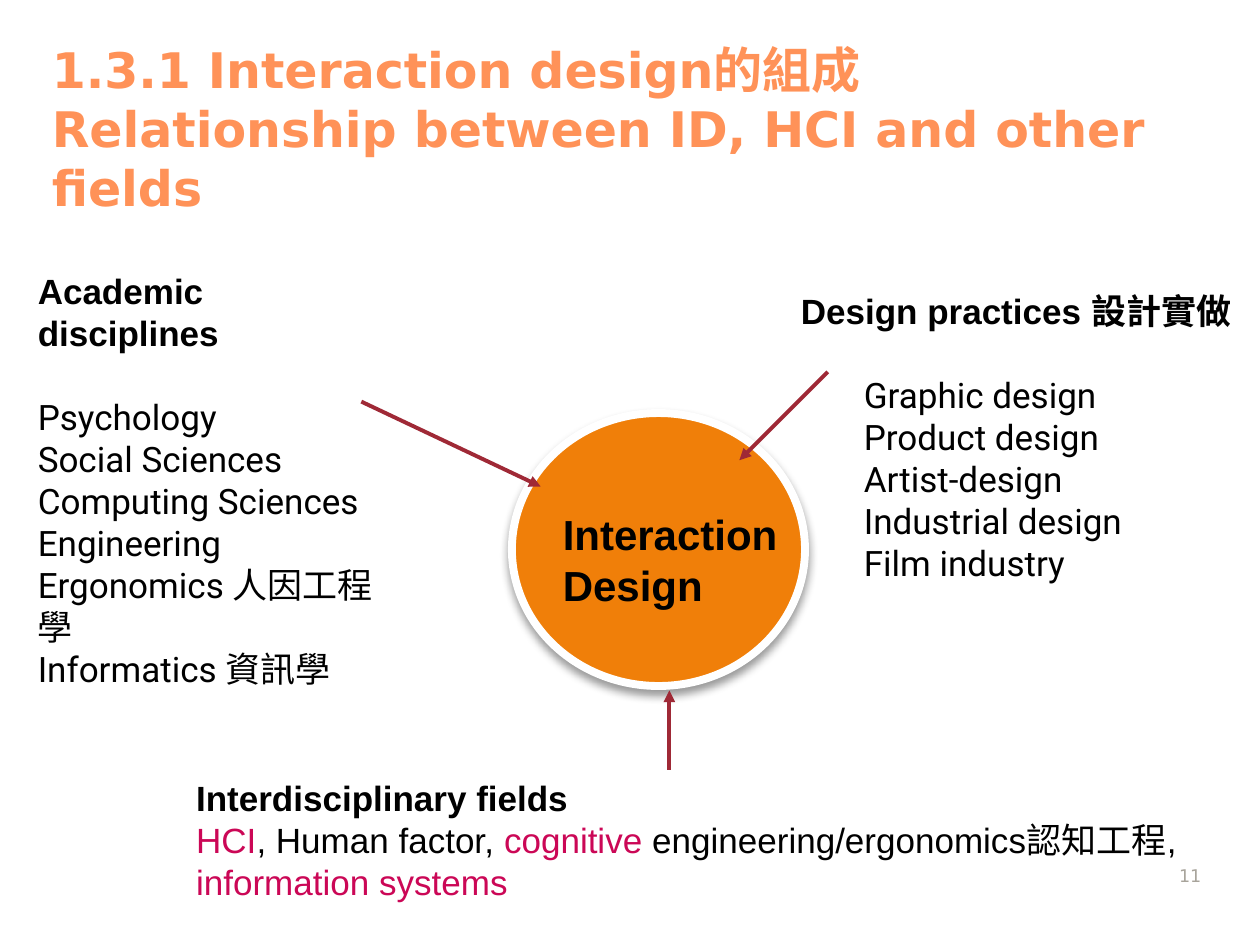
from lxml import etree
from pptx import Presentation
from pptx.dml.color import RGBColor
from pptx.enum import shapes, text
from pptx.oxml import ns
from pptx.util import Pt

COLORS = {
    "title": "FF9258",
    "text": "000000",
    "highlight": "CB0756",
    "circle": "F07F09",
    "rim": "FFFFFF",
    "arrow": "9F2936",
    "number": "A8A49B",
}
EAST_ASIAN_FONT = "Noto Sans CJK TC"
BODY_SIZE = 20
BODY_PITCH = 24

ACADEMIC = ["Psychology", "Social Sciences", "Computing Sciences", "Engineering",
            "Ergonomics 人因工程學", "Informatics 資訊學"]
PRACTICES = ["Graphic design", "Product design", "Artist-design",
             "Industrial design", "Film industry"]
FIELDS = [("HCI", "highlight"), (", Human factor, ", "text"), ("cognitive ", "highlight"),
          ("engineering/ergonomics認知工程, ", "text"), ("information systems", "highlight")]
ARROWS = [((206.5, 229.5), (309, 278)), ((382.5, 440), (382.5, 394.5)),
          ((473, 212.5), (422.5, 263))]


def color(name):
    return RGBColor.from_string(COLORS[name])


def format_run(run, size, font="Arial", bold=False, color_name="text"):
    run.font.size = Pt(size)
    run.font.bold = bold
    run.font.name = font
    run.font.color.rgb = color(color_name)
    east_asian = etree.SubElement(run.font._element, ns.qn("a:ea"))
    east_asian.set("typeface", EAST_ASIAN_FONT)


def add_text(container, box, content, size, pitch, wrap=True, anchor="TOP", **style):
    """Add a text box whose paragraphs share one style; return its paragraphs."""
    shape = container.add_textbox(*map(Pt, box))
    text_frame = shape.text_frame
    text_frame.text = content
    text_frame.word_wrap = wrap
    text_frame.vertical_anchor = text.MSO_ANCHOR[anchor]
    for paragraph in text_frame.paragraphs:
        paragraph.line_spacing = Pt(pitch)
        for run in paragraph.runs:
            format_run(run, size, **style)
    return text_frame.paragraphs


def add_list(container, box, heading, items, indent=0):
    """Add a bold heading with a list of plain items one line below it."""
    paragraphs = add_text(container, box, "\n".join(heading + items),
                          BODY_SIZE, BODY_PITCH, bold=True)
    entries = paragraphs[len(heading):]
    entries[0].space_before = Pt(BODY_PITCH)
    for paragraph in entries:
        paragraph._p.get_or_add_pPr().set("marL", str(Pt(indent)))
        paragraph.runs[0].font.bold = False
        paragraph.runs[0].font.name = "Roboto"


def add_shadow(shape):
    effects = etree.SubElement(shape._element.spPr, ns.qn("a:effectLst"))
    shadow = etree.SubElement(effects, ns.qn("a:outerShdw"), blurRad=str(Pt(5.2)),
                              dist=str(Pt(3)), dir="5400000", rotWithShape="0")
    shade = etree.SubElement(shadow, ns.qn("a:srgbClr"), val=COLORS["text"])
    etree.SubElement(shade, ns.qn("a:alpha"), val="40000")


def add_circle(slide):
    group = slide.shapes.add_group_shape()
    circle = group.shapes.add_shape(shapes.MSO_SHAPE.OVAL,
                                    Pt(292.5), Pt(236), Pt(167.5), Pt(156))
    circle.fill.solid()
    circle.fill.fore_color.rgb = color("circle")
    circle.line.color.rgb = color("rim")
    circle.line.width = Pt(4.5)
    add_shadow(circle)
    add_text(group.shapes, (314.5, 287.5, 137, 65), "Interaction\nDesign",
             24, 28.6, wrap=False, bold=True)


def add_arrow(slide, start, end):
    arrow = slide.shapes.add_connector(shapes.MSO_CONNECTOR.STRAIGHT,
                                       *map(Pt, start + end))
    arrow.line.color.rgb = color("arrow")
    arrow.line.width = Pt(2.25)
    etree.SubElement(arrow.line._get_or_add_ln(), ns.qn("a:tailEnd"), type="triangle")
    etree.SubElement(arrow._element.spPr, ns.qn("a:effectLst"))


def main():
    presentation = Presentation()
    presentation.slide_width, presentation.slide_height = Pt(720), Pt(540)
    slide = presentation.slides.add_slide(presentation.slide_layouts[6])

    # Title
    add_text(slide.shapes, (22.5, 21, 675, 106),
             "1.3.1 Interaction design的組成\vRelationship between ID, HCI and other fields",
             28, 33.7, anchor="BOTTOM", font="DejaVu Sans", bold=True, color_name="title")

    # Interdisciplinary fields, with highlighted terms
    paragraphs = add_text(slide.shapes, (105, 440, 584, 80), "Interdisciplinary fields\n",
                          BODY_SIZE, BODY_PITCH, bold=True)
    for words, color_name in FIELDS:
        run = paragraphs[1].add_run()
        run.text = words
        format_run(run, BODY_SIZE, color_name=color_name)

    # Contributing disciplines on either side
    add_list(slide.shapes, (450.5, 162, 262, 177), ["Design practices 設計實做"],
             PRACTICES, indent=36)
    add_list(slide.shapes, (14.5, 150.5, 224.5, 225), ["Academic", "disciplines"], ACADEMIC)

    # Central circle and the arrows pointing to it
    add_circle(slide)
    for start, end in ARROWS:
        add_arrow(slide, start, end)

    # Slide number
    number = add_text(slide.shapes, (657.5, 481, 36, 29), "11", 10, 12, anchor="BOTTOM",
                      font="DejaVu Sans", color_name="number")
    number[0].alignment = text.PP_ALIGN.RIGHT

    presentation.save("out.pptx")


if __name__ == "__main__":
    main()
